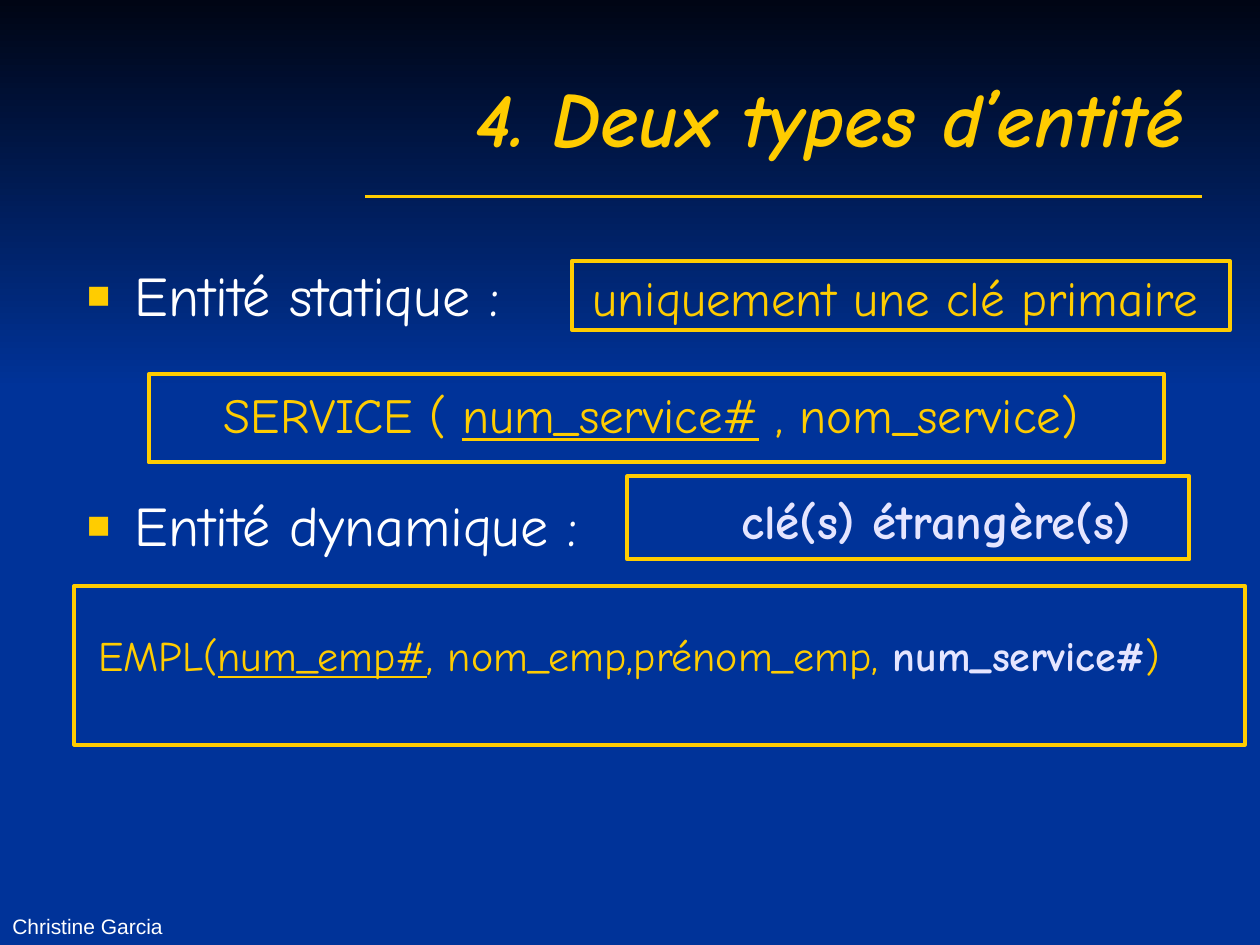
from lxml import etree
from pptx import Presentation
from pptx.dml.color import RGBColor
from pptx.enum.shapes import MSO_CONNECTOR, MSO_SHAPE
from pptx.enum.text import MSO_ANCHOR, MSO_AUTO_SIZE, PP_ALIGN
from pptx.oxml.ns import qn
from pptx.util import Inches, Pt

RECTANGLE = MSO_SHAPE.RECTANGLE
STRAIGHT = MSO_CONNECTOR.STRAIGHT
LEFT, CENTER, RIGHT = PP_ALIGN.LEFT, PP_ALIGN.CENTER, PP_ALIGN.RIGHT
TOP, MIDDLE, BOTTOM = MSO_ANCHOR.TOP, MSO_ANCHOR.MIDDLE, MSO_ANCHOR.BOTTOM
NO_AUTOFIT = MSO_AUTO_SIZE.NONE

NIGHT = RGBColor(0x00, 0x05, 0x14)
BLUE = RGBColor(0x00, 0x33, 0x99)
GOLD = RGBColor(0xFF, 0xCC, 0x00)
LAVENDER = RGBColor(0xE5, 0xE5, 0xFF)
WHITE = RGBColor(0xFF, 0xFF, 0xFF)


class SlideBuilder:
    font = "Comic Neue"

    def __init__(self, slide):
        self.slide = slide
        self.shapes = slide.shapes
        fill = slide.background.fill
        fill.solid()
        fill.fore_color.rgb = BLUE

    def place(self, shape, at):
        shape.left, shape.top, shape.width, shape.height = map(Inches, at)

    def frame(self, shape, anchor, wrap=True):
        frame = shape.text_frame
        frame.auto_size = NO_AUTOFIT
        frame.word_wrap = wrap
        frame.vertical_anchor = anchor
        return frame

    def span(self, para, text, size, color=GOLD, bold=False, italic=False,
             underline=False, font=None):
        span = para.add_run()
        span.text = text
        span.font.name = font or self.font
        span.font.size = Pt(size)
        span.font.color.rgb = color
        span.font.bold = bold
        span.font.italic = italic
        span.font.underline = underline

    def gradient_band(self, at):
        """Draw the dark fade behind everything else on the slide."""
        band = self.shapes.add_shape(RECTANGLE, *map(Inches, at))
        band.shadow.inherit = False
        band.line.fill.background()
        band.fill.gradient()
        band.fill.gradient_angle = 270
        for stop, color in zip(band.fill.gradient_stops, (NIGHT, BLUE)):
            stop.color.rgb = color
        self.shapes._spTree.insert(2, band._element)

    def rule(self, start, end):
        rule = self.shapes.add_connector(STRAIGHT, *map(Inches, start + end))
        rule.line.color.rgb = GOLD
        rule.line.width = Pt(2)
        etree.SubElement(rule._element.spPr, qn("a:effectLst"))

    def title(self, text, at):
        title = self.shapes.title
        self.place(title, at)
        para = self.frame(title, MIDDLE).paragraphs[0]
        para.alignment = RIGHT
        self.span(para, text, 44, bold=True, italic=True)

    def bullet(self, para):
        properties = para._p.get_or_add_pPr()
        properties.set("marL", str(Inches(0.38)))
        properties.set("indent", str(Inches(-0.38)))
        color = etree.SubElement(properties, qn("a:buClr"))
        etree.SubElement(color, qn("a:srgbClr"), val=str(GOLD))
        etree.SubElement(properties, qn("a:buSzPct"), val="70000")
        etree.SubElement(properties, qn("a:buFont"), typeface="Arial")
        etree.SubElement(properties, qn("a:buChar"), char="■")

    def bullet_list(self, items, at, gap):
        body = self.slide.placeholders[1]
        self.place(body, at)
        frame = self.frame(body, TOP)
        for index, item in enumerate(items):
            para = frame.add_paragraph() if index else frame.paragraphs[0]
            self.bullet(para)
            para.space_before = Pt(gap if index else 0)
            self.span(para, item, 32, WHITE)

    def text(self, spans, at, size, align=CENTER, anchor=MIDDLE, wrap=False):
        """Add a one-line text box; spans are (text, font options) pairs."""
        box = self.shapes.add_textbox(*map(Inches, at))
        para = self.frame(box, anchor, wrap).paragraphs[0]
        para.alignment = align
        for text, options in spans:
            self.span(para, text, size, **options)

    def outline(self, at):
        outline = self.shapes.add_shape(RECTANGLE, *map(Inches, at))
        outline.shadow.inherit = False
        outline.fill.background()
        outline.line.color.rgb = GOLD
        outline.line.width = Pt(2.25)


def main():
    deck = Presentation()
    deck.slide_width, deck.slide_height = Inches(10), Inches(7.5)
    page = SlideBuilder(deck.slides.add_slide(deck.slide_layouts[1]))

    page.gradient_band((0, 0, 10, 3.09))
    page.rule((2.9, 1.56), (9.54, 1.56))
    page.title("4. Deux types d’entité", (0.5, 0.3, 9, 1.25))
    page.bullet_list(["Entité statique :", "Entité dynamique :"],
                     (0.59, 2.02, 9, 4.49), gap=93)

    primary_key = {"underline": True}
    foreign_key = {"color": LAVENDER, "bold": True}
    page.text([("uniquement une clé primaire", {})], (4.6, 2.07, 5.01, 0.57), 28)
    page.text([("clé(s) étrangère(s)", foreign_key)], (5.77, 3.84, 3.32, 0.57), 28)
    page.text([("EMPL(", {}), ("num_emp#", primary_key),
               (", nom_emp,prénom_emp, ", {}),
               ("num_service#", foreign_key), (")", {})],
              (0.68, 4.95, 9.32, 0.5), 24, LEFT, wrap=True)
    page.text([("SERVICE ( ", {}), ("num_service#", primary_key),
               (" , nom_service)", {})], (1.67, 3, 6.99, 0.57), 28)

    for at in ((4.54, 2.07, 5.22, 0.55), (4.98, 3.78, 4.46, 0.66),
               (0.59, 4.65, 9.29, 1.26), (1.18, 2.97, 8.06, 0.7)):
        page.outline(at)

    page.text([("Christine Garcia", {"color": WHITE, "font": "Arial"})],
              (0, 6.98, 3.17, 0.52), 12, LEFT, BOTTOM, wrap=True)
    deck.save("out.pptx")


if __name__ == "__main__":
    main()
